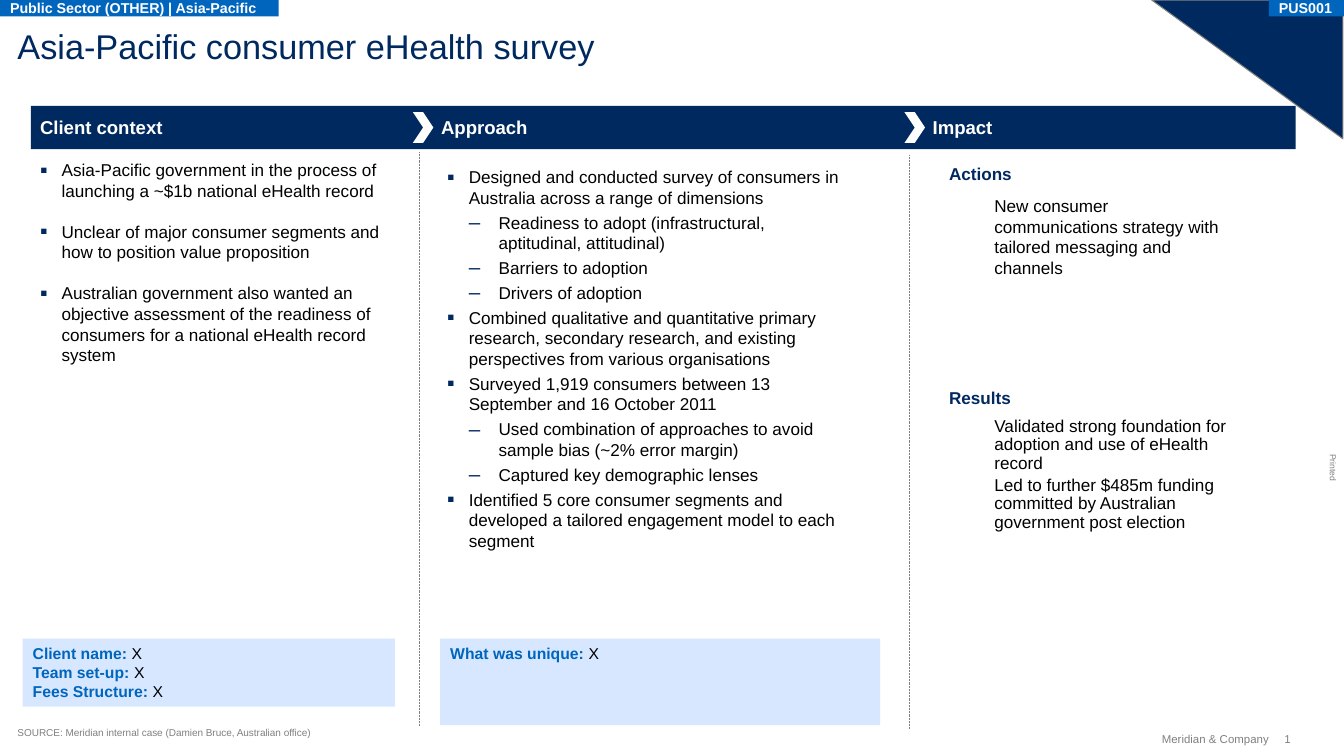
from lxml import etree
from pptx import Presentation, util as u
from pptx.dml import color
from pptx.enum import dml, shapes, text
from pptx.oxml import ns

WIDE, HIGH = 13.07, 7.35
HUES = {"navy": "002960", "blue": "0065BD", "pale": "D6E7FF",
        "gray": "808080", "white": "FFFFFF", "black": "000000"}
MARKS = {0: ("▪", 125, 0.21, 0.21), 1: ("–", 120, 0.5, 0.29)}
CLIENT = ["Asia-Pacific government in the process of launching a ~$1b national eHealth record",
          "Unclear of major consumer segments and how to position value proposition",
          "Australian government also wanted an objective assessment of the readiness of "
          "consumers for a national eHealth record system"]
METHOD = [(0, "Designed and conducted survey of consumers in Australia across a range of dimensions"),
          (1, "Readiness to adopt (infrastructural, aptitudinal, attitudinal)"),
          (1, "Barriers to adoption"),
          (1, "Drivers of adoption"),
          (0, "Combined qualitative and quantitative primary research, secondary research, "
              "and existing perspectives from various organisations"),
          (0, "Surveyed 1,919 consumers between 13 September and 16 October 2011"),
          (1, "Used combination of approaches to avoid sample bias (~2% error margin)"),
          (1, "Captured key demographic lenses"),
          (0, "Identified 5 core consumer segments and developed a tailored engagement "
              "model to each segment")]
ACTIONS = ["New consumer communications strategy with tailored messaging and channels"]
RESULTS = ["Validated strong foundation for adoption and use of eHealth record",
           "Led to further $485m funding committed by Australian government post election"]


def rgb(hue):
    """Return the named colour."""
    return color.RGBColor.from_string(HUES[hue])


def place(box):
    """Turn a box on a grid of 100 columns and 100 rows into lengths."""
    return [u.Inches(n * side / 100) for n, side in zip(box, (WIDE, HIGH) * 2)]


def cut(box, col, row, wide, high):
    """Return a box set off from the corner of another one."""
    return box[0] + col, box[1] + row, wide, high


def style(run, size, hue, bold=False):
    """Format one run."""
    font = run.font
    font.name, font.size, font.bold = "Arial", u.Pt(size), bold
    font.color.rgb = rgb(hue)


def form(slide, kind, box, fill):
    """Draw a filled preset shape without an outline."""
    item = slide.shapes.add_shape(kind, *place(box))
    item.shadow.inherit = False
    item.fill.solid()
    item.fill.fore_color.rgb = rgb(fill)
    item.line.fill.background()
    return item


def write(slide, box, lines, size, hue, bold=False, after=0, wrap=True):
    """Add a text box without margins."""
    item = slide.shapes.add_textbox(*place(box))
    frame = item.text_frame
    frame.word_wrap = wrap
    frame.margin_left = frame.margin_right = frame.margin_top = frame.margin_bottom = 0
    frame.text = "\n".join(lines)
    for para in frame.paragraphs:
        para.space_after = u.Pt(after)
        style(para.runs[0], size, hue, bold)
    return item


def bullets(slide, box, items, after):
    """Add a two-level bulleted list."""
    frame = write(slide, box, [line for _, line in items], 12, "black", after=after).text_frame
    for (level, _), para in zip(items, frame.paragraphs):
        mark, scale, left, hang = MARKS[level]
        para.level = level
        props = para._p.get_or_add_pPr()
        props.set("marL", str(u.Inches(left)))
        props.set("indent", str(-u.Inches(hang)))
        tint = etree.SubElement(props, ns.qn("a:buClr"))
        etree.SubElement(tint, ns.qn("a:srgbClr"), val=HUES["navy"])
        etree.SubElement(props, ns.qn("a:buSzPct"), val=str(scale * 1000))
        etree.SubElement(props, ns.qn("a:buFont"), typeface="Arial")
        etree.SubElement(props, ns.qn("a:buChar"), char=mark)


def card(slide, box, names):
    """Draw a pale card with bold names and their values."""
    frame = form(slide, shapes.MSO_SHAPE.RECTANGLE, box, "pale").text_frame
    frame.word_wrap = True
    frame.vertical_anchor = text.MSO_ANCHOR.TOP
    frame.text = "\n".join(f"{name}: " for name in names)
    for para in frame.paragraphs:
        para.alignment = text.PP_ALIGN.LEFT
        style(para.runs[0], 11, "blue", True)
        value = para.add_run()
        value.text = "X"
        style(value, 11, "black")


def tag(slide, box, label):
    """Draw a blue tag at the top edge."""
    frame = form(slide, shapes.MSO_SHAPE.RECTANGLE, box, "blue").text_frame
    frame.word_wrap = False
    frame.vertical_anchor = text.MSO_ANCHOR.MIDDLE
    frame.text = label
    frame.paragraphs[0].alignment = text.PP_ALIGN.LEFT
    style(frame.paragraphs[0].runs[0], 10, "white", True)


def head(slide, box, label):
    """Write a column heading on the bar."""
    frame = write(slide, cut(box, 0, 1.23, box[2], 3.27), [label], 13, "white", True).text_frame
    frame.margin_bottom = u.Inches(0.02)
    frame.vertical_anchor = text.MSO_ANCHOR.BOTTOM


def split(slide, box, col, row):
    """Draw the chevron and dotted rule that open a column."""
    form(slide, shapes.MSO_SHAPE.CHEVRON, cut(box, -2.1, 0.82, 1.53, 4.08), "white")
    left, top, _, high = place(cut(box, col, row, 0, 75.85))
    rule = slide.shapes.add_connector(shapes.MSO_CONNECTOR.STRAIGHT, left, top, left, top + high)
    rule.line.color.rgb = rgb("gray")
    rule.line.width = u.Pt(0.5)
    rule.line.dash_style = dml.MSO_LINE.ROUND_DOT
    etree.SubElement(rule._element.spPr, ns.qn("a:effectLst"))


def client(slide, box):
    """Fill the client context column."""
    head(slide, box, "Client context")
    bullets(slide, cut(box, 0, 7.08, 25.71, 27.48), [(0, line) for line in CLIENT], 14.4)
    card(slide, cut(box, -1.3, 70.48, 27.7, 8.98), ["Client name", "Team set-up", "Fees Structure"])


def method(slide, box):
    """Fill the approach column."""
    head(slide, box, "Approach")
    split(slide, box, -1.6, 6.13)
    bullets(slide, cut(box, 0.46, 8.03, 29.84, 51.29), METHOD, 3)
    card(slide, cut(box, -0.07, 70.48, 32.75, 11.43), ["What was unique"])


def impact(slide, box):
    """Fill the impact column."""
    head(slide, box, "Impact")
    split(slide, box, -1.76, 6.53)
    for label, lines, row, gap, pitch in (("Actions", ACTIONS, 7.62, 4.22, 1),
                                          ("Results", RESULTS, 37.28, 3.95, 0.9)):
        write(slide, cut(box, 1.22, row, 7, 2.72), [label], 12, "navy", True)
        body = write(slide, cut(box, 4.59, row + gap, 17.44, 15.4), lines, 12, "black", after=2.4)
        for para in body.text_frame.paragraphs:
            para.line_spacing = float(pitch)


def frame(slide, box):
    """Place the corner, title, tags and footer."""
    corner = form(slide, shapes.MSO_SHAPE.RIGHT_TRIANGLE, cut(box, 85.69, 0, 14.23, 18.37), "navy")
    corner.rotation = 180
    corner.line.color.rgb = rgb("gray")
    corner.line.width = u.Pt(0.75)
    write(slide, cut(box, 1.3, 3.4, 72.15, 4.35), ["Asia-Pacific consumer eHealth survey"], 24, "navy")
    tag(slide, cut(box, 0, 0, 20.73, 2.18), "Public Sector (OTHER) | Asia-Pacific")
    tag(slide, cut(box, 94.41, 0, 5.59, 2.18), "PUS001")
    side = write(slide, cut(box, 98.16, 61.22, 2.07, 1.36), ["Printed"], 6, "gray", wrap=False)
    side.rotation = 90
    source = "SOURCE: Meridian internal case (Damien Bruce, Australian office)"
    write(slide, cut(box, 1.3, 96.05, 57.46, 1.63), [source], 7, "gray")
    firm = write(slide, cut(box, 84, 96.87, 10.42, 1.77), ["Meridian & Company"], 8, "gray")
    firm.text_frame.paragraphs[0].alignment = text.PP_ALIGN.RIGHT
    write(slide, cut(box, 95.56, 96.87, 1.07, 1.77), ["1"], 8, "gray")


def main():
    """Build and save the slide."""
    deck = Presentation()
    deck.slide_width, deck.slide_height = u.Inches(WIDE), u.Inches(HIGH)
    slide = deck.slides.add_slide(deck.slide_layouts[6])
    frame(slide, (0, 0, 100, 100))
    form(slide, shapes.MSO_SHAPE.RECTANGLE, (2.3, 14.01, 94.11, 5.71), "navy")
    for fill, left, wide in ((client, 2.98, 22.3), (method, 32.82, 26.7), (impact, 69.4, 24.25)):
        fill(slide, (left, 14.01, wide, 82))
    deck.save("out.pptx")


if __name__ == "__main__":
    main()
